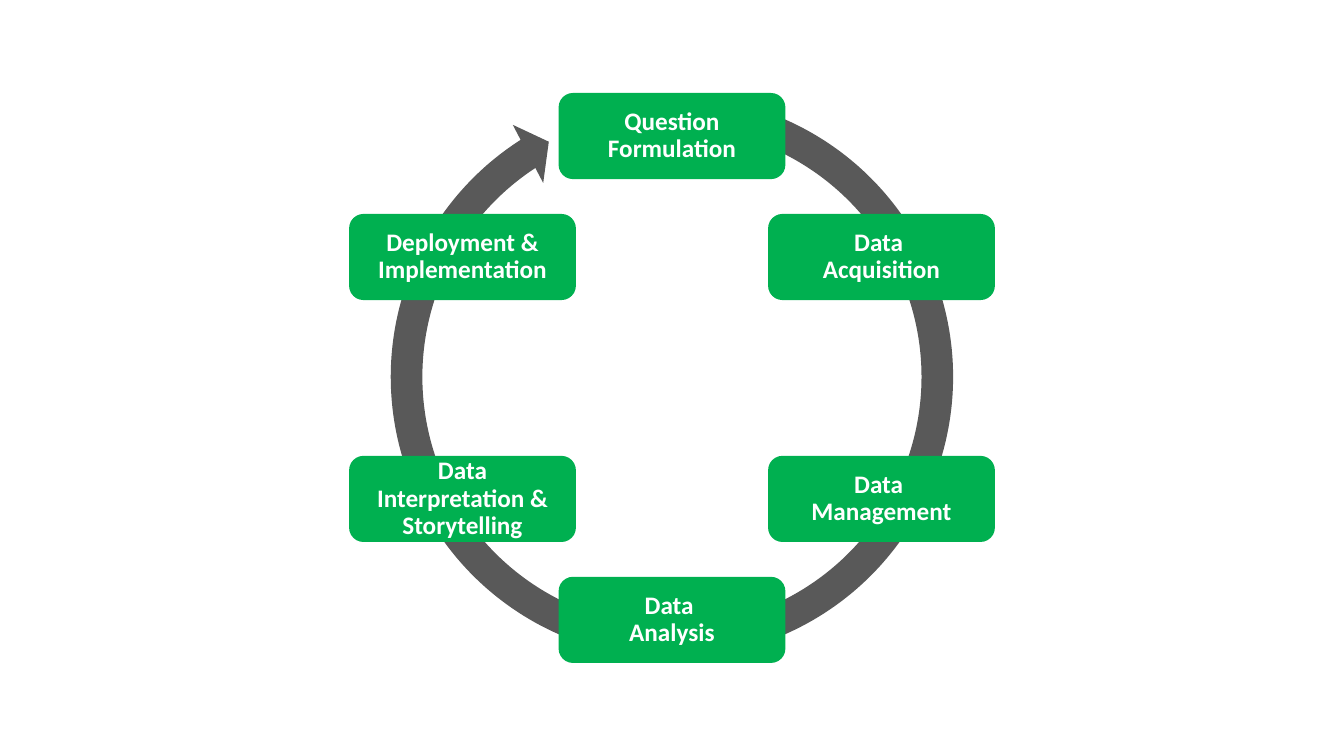
from math import cos, radians, sin

from pptx import Presentation
from pptx.dml.color import RGBColor
from pptx.enum import shapes, text
from pptx.util import Pt

GREEN = RGBColor(0x00, 0xB0, 0x50)
GREY = RGBColor(0x59, 0x59, 0x59)
WHITE = RGBColor(0xFF, 0xFF, 0xFF)

# Ring of steps, in points
MID_X, MID_Y = 480, 270
RADIUS = 172.8
BOX_W, BOX_H = 162, 61.5
RING = 426

# Clockwise from the top
STEPS = [
    "Question Formulation",
    "Data \nAcquisition",
    "Data \nManagement",
    "Data \nAnalysis",
    "Data Interpretation & Storytelling",
    "Deployment & Implementation",
]


def add_form(slide, kind, x, y, w, h, fill):
    """Add a plain filled shape centred on x, y."""
    form = slide.shapes.add_shape(
        kind, Pt(x - w / 2), Pt(y - h / 2), Pt(w), Pt(h))
    form.shadow.inherit = False
    form.fill.solid()
    form.fill.fore_color.rgb = fill
    form.line.fill.background()
    return form


def put_text(form, words, size=18, color=WHITE, bold=True, font="Calibri",
             inset=8):
    frame = form.text_frame
    frame.word_wrap = True
    frame.vertical_anchor = text.MSO_ANCHOR.MIDDLE
    frame.margin_left = frame.margin_right = Pt(inset)
    frame.margin_top = frame.margin_bottom = Pt(inset)
    frame.text = words
    for para in frame.paragraphs:
        para.alignment = text.PP_ALIGN.CENTER
        para.line_spacing = 0.9
        para.font.size = Pt(size)
        para.font.name = font
        para.font.bold = bold
        para.font.color.rgb = color


def add_ring(slide):
    ring = add_form(slide, shapes.MSO_SHAPE.CIRCULAR_ARROW,
                    MID_X, MID_Y - 0.8, RING, RING, GREY)
    # Thickness, head angle, end angle, start angle, head width
    for i, value in enumerate([0.053, 3.126, 142.291, 171.264, 0.055]):
        ring.adjustments[i] = value


def add_step(slide, words, angle):
    x = MID_X + RADIUS * sin(radians(angle))
    y = MID_Y - RADIUS * cos(radians(angle))
    box = add_form(slide, shapes.MSO_SHAPE.ROUNDED_RECTANGLE,
                   x, y, BOX_W, BOX_H, GREEN)
    put_text(box, words)


def main():
    deck = Presentation()
    deck.slide_width, deck.slide_height = Pt(960), Pt(540)
    slide = deck.slides.add_slide(deck.slide_layouts[6])

    # Arrow behind, steps on top
    add_ring(slide)
    for i, words in enumerate(STEPS):
        add_step(slide, words, i * 360 / len(STEPS))

    deck.save("out.pptx")


if __name__ == "__main__":
    main()
